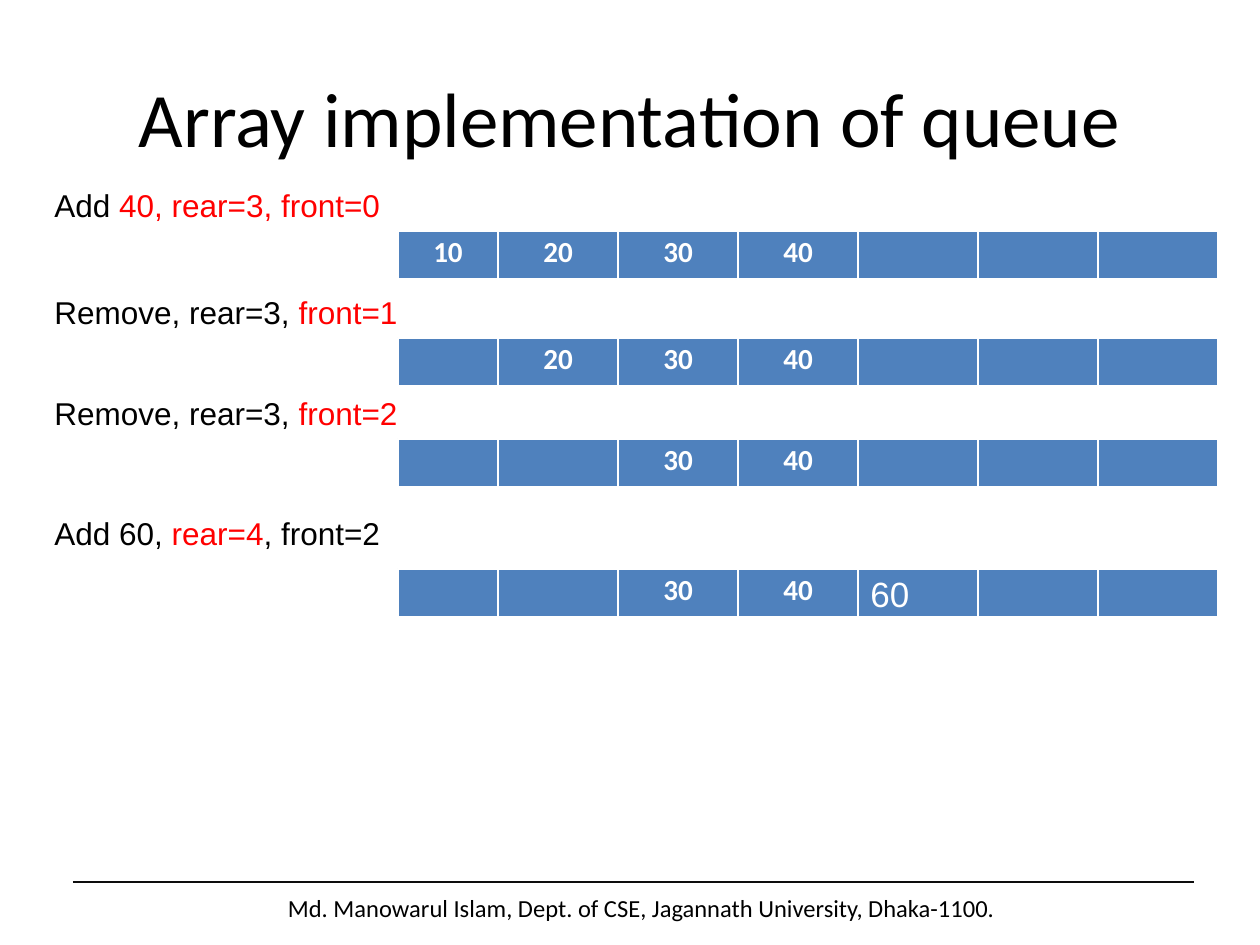
from itertools import accumulate

from lxml import etree
from pptx import Presentation
from pptx import util as u
from pptx.dml.color import RGBColor
from pptx.enum import shapes, text
from pptx.oxml.ns import qn

BLACK = RGBColor(0x00, 0x00, 0x00)
RED = RGBColor(0xFF, 0x00, 0x00)
WHITE = RGBColor(0xFF, 0xFF, 0xFF)
BLUE = RGBColor(0x4F, 0x81, 0xBD)
RULE = RGBColor(0x0D, 0x0D, 0x0D)

PX = u.Inches(1) / 126
HEADING_FONT, BODY_FONT = "Calibri", "Arial"

ROW_LEFT, ROW_HEIGHT = 398, 50
CELL_WIDTHS = [100] + [120] * 6
EDGES = list(accumulate(CELL_WIDTHS, initial=ROW_LEFT))

# label top, label runs, row top, cell values
STEPS = [
    (180, [("Add", BLACK), (" 40, rear=3, front=0", RED)],
     231, ["10", "20", "30", "40", "", "", ""]),
    (287, [("Remove, rear=3, ", BLACK), ("front=1", RED)],
     338, ["", "20", "30", "40", "", "", ""]),
    (388, [("Remove, rear=3, ", BLACK), ("front=2", RED)],
     439, ["", "", "30", "40", "", "", ""]),
    (508, [("Add 60, ", BLACK), ("rear=4", RED), (", front=2", BLACK)],
     569, ["", "", "30", "40", "60", "", ""]),
]
NEW_ITEM = "60"


def px(*lengths):
    return [u.Emu(round(length * PX)) for length in lengths]


class QueueSlide:
    def __init__(self, slide):
        self.slide = slide

    def text(self, box, runs, size, font=HEADING_FONT,
             align=text.PP_ALIGN.LEFT, anchor=text.MSO_ANCHOR.TOP):
        frame = self.slide.shapes.add_textbox(*px(*box)).text_frame
        frame.word_wrap = True
        frame.vertical_anchor = anchor
        line = frame.paragraphs[0]
        line.alignment = align
        line.font.size = u.Pt(size)
        line.font.name = font
        for words, color in runs:
            run = line.add_run()
            run.text = words
            run.font.color.rgb = color

    def line(self, parent, ends, color, width=1):
        rule = parent.add_connector(shapes.MSO_CONNECTOR.STRAIGHT, *px(*ends))
        rule.line.color.rgb = color
        rule.line.width = u.Pt(width)
        etree.SubElement(rule._element.spPr, qn("a:effectLst"))

    def cell(self, parent, box, value):
        cell = parent.add_shape(shapes.MSO_SHAPE.RECTANGLE, *px(*box))
        cell.shadow.inherit = False
        cell.fill.solid()
        cell.fill.fore_color.rgb = BLUE
        cell.line.fill.background()
        if not value:
            return
        is_new = value == NEW_ITEM
        frame = cell.text_frame
        frame.word_wrap = not is_new
        frame.vertical_anchor = (text.MSO_ANCHOR.MIDDLE if is_new
                                 else text.MSO_ANCHOR.TOP)
        number = frame.paragraphs[0]
        number.text = value
        number.alignment = (text.PP_ALIGN.LEFT if is_new
                            else text.PP_ALIGN.CENTER)
        number.line_spacing = 1.0 if is_new else 0.9
        number.font.name = BODY_FONT if is_new else HEADING_FONT
        number.font.size = u.Pt(20 if is_new else 16.6)
        number.font.bold = not is_new
        number.font.color.rgb = WHITE

    def array(self, top, values):
        """Draw one state of the queue as a grouped row of cells."""
        row = self.slide.shapes.add_group_shape().shapes
        bottom = top + ROW_HEIGHT
        for left, width, value in zip(EDGES, CELL_WIDTHS, values):
            self.cell(row, (left, top, width, ROW_HEIGHT), value)
        for x in EDGES:
            self.line(row, (x, top, x, bottom), WHITE)
        for y, weight in ((top, 1), (bottom, 3)):
            self.line(row, (EDGES[0], y, EDGES[-1], y), WHITE, weight)


def main():
    deck = Presentation()
    deck.slide_width, deck.slide_height = px(1260, 945)
    page = QueueSlide(deck.slides.add_slide(deck.slide_layouts[6]))

    page.text((48, 887, 1187, 43),
              [("Md. Manowarul Islam, Dept. of CSE, Jagannath University, "
                "Dhaka-1100.", BLACK)], 14, align=text.PP_ALIGN.CENTER)
    page.line(page.slide.shapes, (73, 882, 1194, 882), RULE)
    page.text((63, 38, 1134, 157), [("Array implementation of queue", BLACK)],
              44, align=text.PP_ALIGN.CENTER, anchor=text.MSO_ANCHOR.MIDDLE)

    for label_top, runs, row_top, values in STEPS:
        page.text((42, label_top, 840, 50), runs, 18, BODY_FONT)
        page.array(row_top, values)

    deck.save("out.pptx")


if __name__ == "__main__":
    main()
